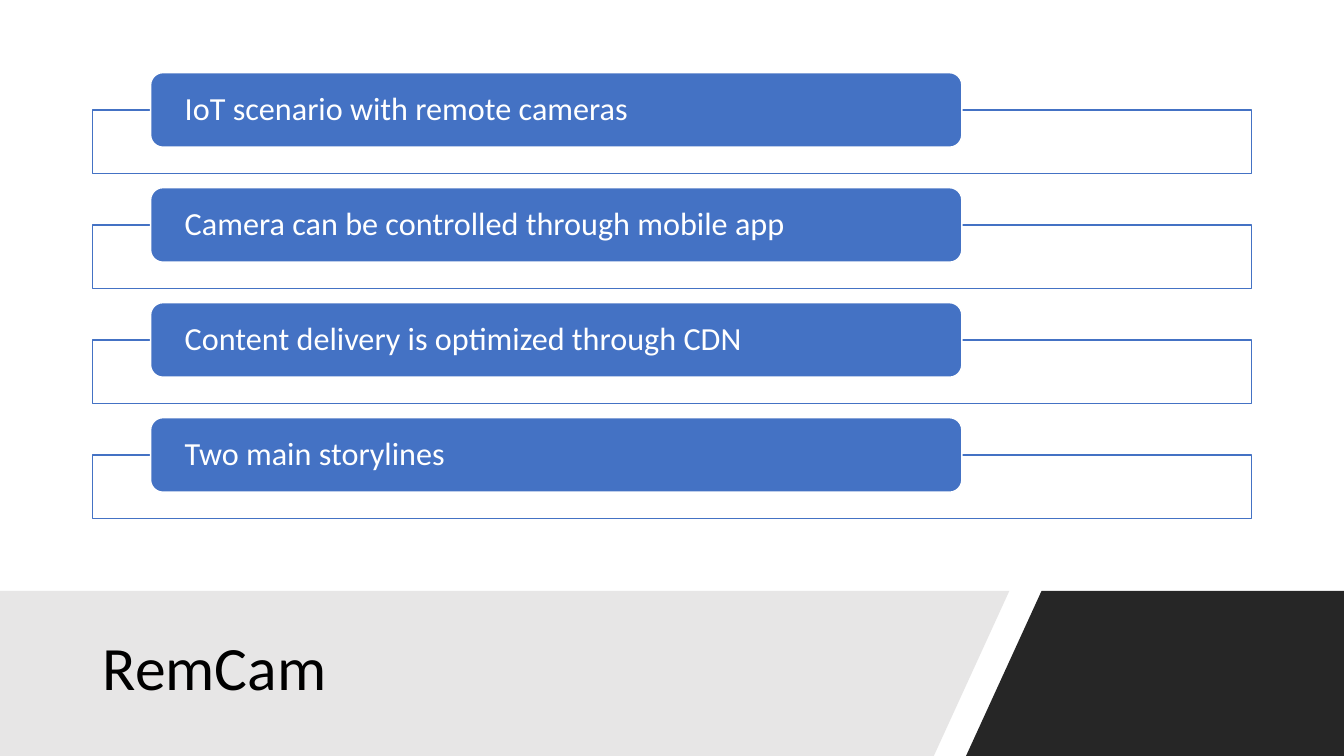
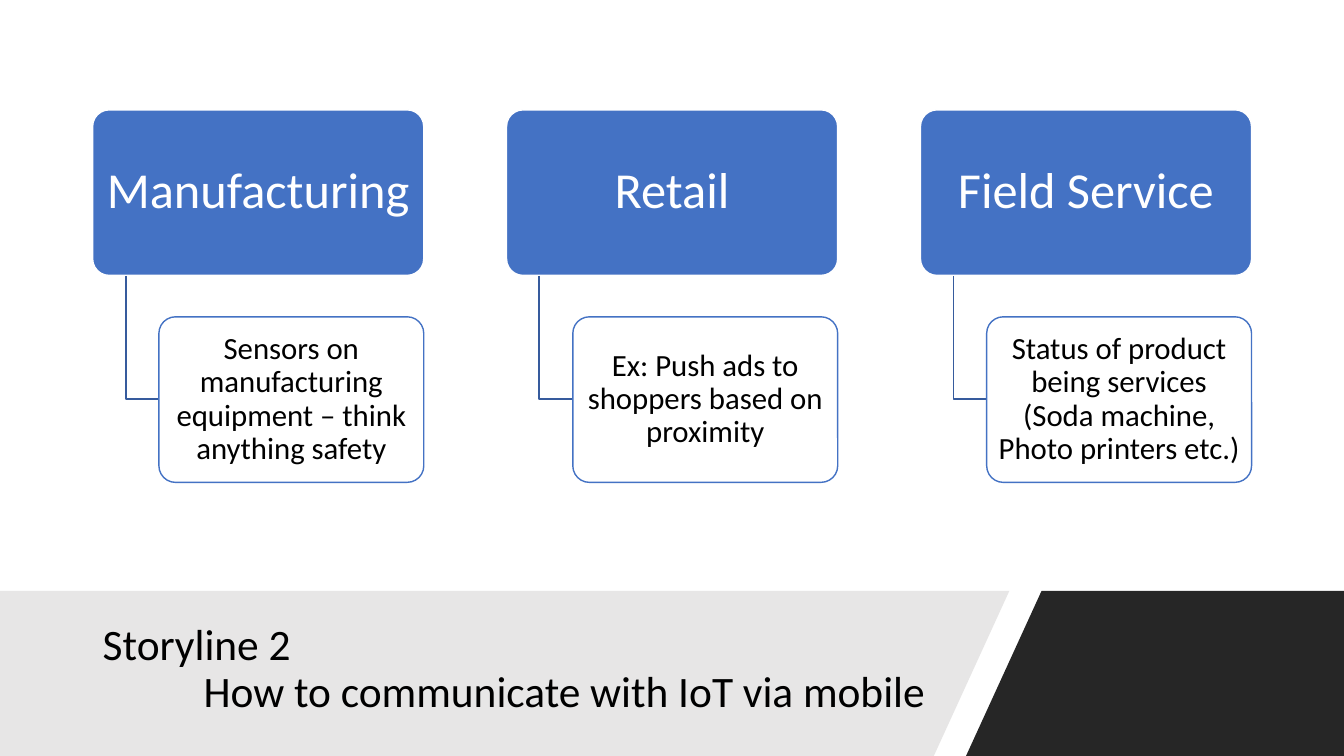
"""Build two slides on a remote camera scenario and its second storyline."""
from pptx import Presentation
from pptx.dml.color import RGBColor
from pptx.enum.shapes import MSO_SHAPE as Shape
from pptx.enum.text import MSO_ANCHOR as Anchor, MSO_AUTO_SIZE as AutoSize, PP_ALIGN as Align
from pptx.util import Pt

BLUE = RGBColor(0x44, 0x72, 0xC4)
DARK_BLUE = RGBColor(0x36, 0x5B, 0x9D)
WHITE = RGBColor(0xFF, 0xFF, 0xFF)
BLACK = RGBColor(0x00, 0x00, 0x00)
LIGHT_GREY = RGBColor(0xE7, 0xE6, 0xE6)
CHARCOAL = RGBColor(0x26, 0x26, 0x26)
FONT = "Calibri"

WIDTH, HEIGHT = 960, 540
BAND_TOP = 422.4
BANDS = [
    (CHARCOAL, [(744.5, BAND_TOP), (WIDTH, BAND_TOP), (WIDTH, HEIGHT), (690, HEIGHT)]),
    (LIGHT_GREY, [(0, BAND_TOP), (721.2, BAND_TOP), (667, HEIGHT), (0, HEIGHT)]),
]
LEFT, TOP = 66.2, 78.5
CONTENT_WIDTH = 827.8

SCENARIO_TITLE = ["RemCam"]
SCENARIO_POINTS = [
    "IoT scenario with remote cameras",
    "Camera can be controlled through mobile app",
    "Content delivery is optimized through CDN",
    "Two main storylines",
]
STORYLINE_TITLE = ["Storyline 2", "How to communicate with IoT via mobile"]
INDUSTRIES = [
    ("Manufacturing", "Sensors on manufacturing equipment – think anything safety"),
    ("Retail", "Ex: Push ads to shoppers based on proximity"),
    ("Field Service", "Status of product being services (Soda machine, Photo printers etc.)"),
]


def write_text(shape, lines, size, color, align=Align.LEFT, margin=7.2, indent=0):
    """Fill a shape with paragraphs, indenting those after the first."""
    frame = shape.text_frame
    frame.word_wrap = True
    frame.auto_size = AutoSize.NONE
    frame.vertical_anchor = Anchor.MIDDLE
    frame.margin_left = frame.margin_right = Pt(margin)
    frame.margin_top = frame.margin_bottom = Pt(3.6)
    for index, line in enumerate(lines):
        paragraph = frame.add_paragraph() if index else frame.paragraphs[0]
        paragraph.alignment = align
        paragraph.line_spacing = 0.9
        if index:
            paragraph._p.get_or_add_pPr().set("marL", str(Pt(indent)))
        run = paragraph.add_run()
        run.text = line
        run.font.name = FONT
        run.font.size = Pt(size)
        run.font.color.rgb = color


def add_box(slide, kind, left, top, width, height, fill, line, corner=None):
    """Add a filled, outlined preset shape."""
    shape = slide.shapes.add_shape(kind, Pt(left), Pt(top), Pt(width), Pt(height))
    shape.shadow.inherit = False
    shape.fill.solid()
    shape.fill.fore_color.rgb = fill
    shape.line.color.rgb = line
    shape.line.width = Pt(1)
    if corner is not None:
        shape.adjustments[0] = corner
    return shape


def add_outline(slide, points, close):
    """Add a freeform through the given points."""
    builder = slide.shapes.build_freeform(*points[0], scale=Pt(1))
    builder.add_line_segments(points[1:], close=close)
    shape = builder.convert_to_shape()
    shape.shadow.inherit = False
    return shape


def add_slide(presentation, title_lines, title_size):
    """Add a slide with the bottom bands and the title over them."""
    slide = presentation.slides.add_slide(presentation.slide_layouts[5])
    for color, points in BANDS:
        band = add_outline(slide, points, close=True)
        band.fill.solid()
        band.fill.fore_color.rgb = color
        band.line.fill.background()
    title = slide.shapes.title
    title.left, title.top, title.width, title.height = Pt(LEFT), Pt(435.6), Pt(607.7), Pt(86.4)
    write_text(title, title_lines, title_size, BLACK, indent=72)
    title.element.getparent().append(title.element)
    return slide


def add_points(slide):
    """Stack the scenario points, each a pill on an outlined frame."""
    pitch, frame_height, pill_height = 82.15, 45.6, 53.2
    for index, point in enumerate(SCENARIO_POINTS):
        top = TOP + index * pitch
        add_box(slide, Shape.RECTANGLE, LEFT, top, CONTENT_WIDTH, frame_height, WHITE, BLUE)
        pill = add_box(slide, Shape.ROUNDED_RECTANGLE, LEFT + 41.4, top - pill_height / 2,
                       CONTENT_WIDTH * 0.7, pill_height, BLUE, WHITE)
        write_text(pill, [point], 23, WHITE, margin=21.8)


def add_industries(slide):
    """Set the industries side by side, each with its example hung below."""
    card_width = CONTENT_WIDTH / 3.5
    card_height = card_width / 2
    pitch = card_width * 1.25
    example_top = TOP + card_height * 1.25
    for index, (industry, example) in enumerate(INDUSTRIES):
        left = LEFT + index * pitch
        stem = left + card_width * 0.1
        example_left = left + card_width * 0.2
        card = add_box(slide, Shape.ROUNDED_RECTANGLE, left, TOP, card_width, card_height,
                       BLUE, WHITE, corner=0.1)
        write_text(card, [industry], 36, WHITE, align=Align.CENTER, margin=3)
        middle = example_top + card_height / 2
        elbow = add_outline(slide, [(stem, TOP + card_height), (stem, middle),
                                    (example_left, middle)], close=False)
        elbow.fill.background()
        elbow.line.color.rgb = DARK_BLUE
        elbow.line.width = Pt(1)
        box = add_box(slide, Shape.ROUNDED_RECTANGLE, example_left, example_top,
                      card_width * 0.8, card_height, WHITE, BLUE, corner=0.1)
        write_text(box, [example], 22, BLACK, align=Align.CENTER, margin=2.5)


def main():
    """Build and save the presentation."""
    presentation = Presentation()
    presentation.slide_width, presentation.slide_height = Pt(WIDTH), Pt(HEIGHT)
    add_points(add_slide(presentation, SCENARIO_TITLE, 44))
    add_industries(add_slide(presentation, STORYLINE_TITLE, 31))
    presentation.save("out.pptx")


if __name__ == "__main__":
    main()
